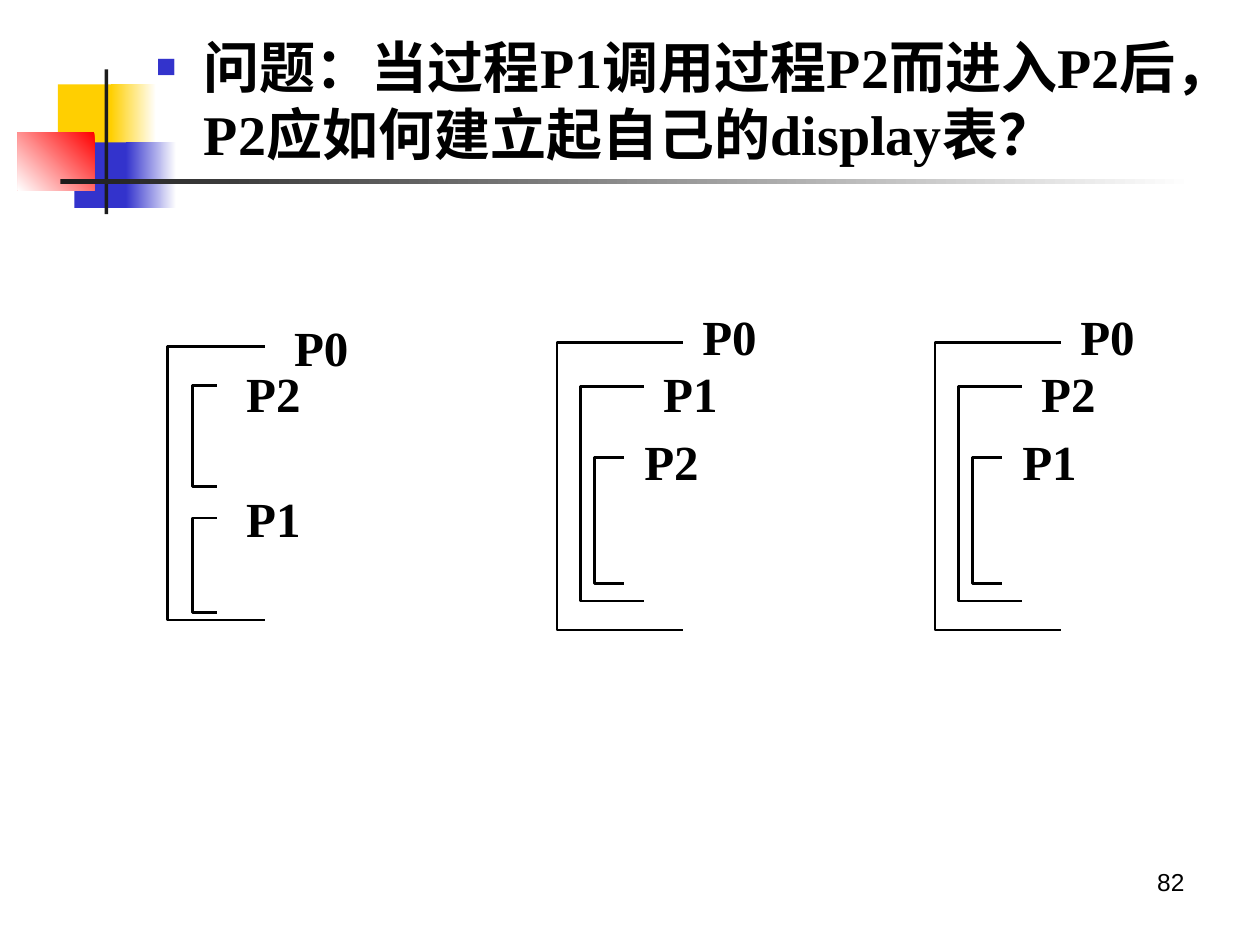
from lxml import etree
from pptx import Presentation, util as u
from pptx.dml.color import RGBColor
from pptx.enum import shapes, text
from pptx.oxml.ns import qn

COLORS = {"yellow": "FFCF01", "blue": "3333CC", "red": "FF0000",
          "dark": "1C1C1C", "white": "FFFFFF", "black": "000000"}


def rgb(name):
    return RGBColor.from_string(COLORS[name])


def add_text(container, box, words, size, font, align, bold=True):
    shape = container.add_textbox(*map(u.Inches, box))
    paragraph = shape.text_frame.paragraphs[0]
    paragraph.text = words
    paragraph.alignment = align
    run_font = paragraph.runs[0].font
    run_font.size, run_font.name, run_font.bold = u.Pt(size), font, bold
    run_font.color.rgb = rgb("black")
    return shape


presentation = Presentation()
presentation.slide_width, presentation.slide_height = u.Inches(10), u.Inches(7.5)
slide = presentation.slides.add_slide(presentation.slide_layouts[6])

# Corner ornament: box, first colour, end colour (None for solid), gradient angle
ornament = [
    ((0.46, 0.67, 0.48, 0.52), "yellow", None, 0),
    ((0.88, 0.67, 0.36, 0.52), "yellow", "white", 0),
    ((0.59, 1.13, 0.46, 0.52), "blue", None, 0),
    ((1.00, 1.13, 0.40, 0.52), "blue", "white", 0),
    ((0.14, 1.05, 0.61, 0.46), "red", "white", 225),
    ((0.83, 0.55, 0.03, 1.15), "dark", None, 0),
    ((0.48, 1.42, 9.00, 0.04), "dark", "white", 0),
]
for box, start, end, angle in ornament:
    shape = slide.shapes.add_shape(shapes.MSO_SHAPE.RECTANGLE, *map(u.Inches, box))
    shape.shadow.inherit = False
    shape.line.fill.background()
    if end is None:
        shape.fill.solid()
        shape.fill.fore_color.rgb = rgb(start)
    else:
        shape.fill.gradient()
        shape.fill.gradient_angle = angle
        for stop, name in zip(shape.fill.gradient_stops, (start, end)):
            stop.color.rgb = rgb(name)

# Slide number and question
add_text(slide.shapes, (7.17, 6.83, 2.33, 0.52), "82", 14, "Arial",
         text.PP_ALIGN.RIGHT, bold=False)
question = add_text(
    slide.shapes, (1.14, 0.21, 8.67, 1.25),
    "问题：当过程P1调用过程P2而进入P2后，P2应如何建立起自己的display表？",
    32, "Times New Roman", text.PP_ALIGN.LEFT)
question.text_frame.word_wrap = True
paragraph = question.text_frame.paragraphs[0]
paragraph.space_before = u.Pt(8)
properties = paragraph._p.get_or_add_pPr()
properties.set("marL", str(u.Inches(0.38)))
properties.set("indent", str(-u.Inches(0.38)))
bullet_color = etree.SubElement(properties, qn("a:buClr"))
etree.SubElement(bullet_color, qn("a:srgbClr"), val=COLORS["blue"])
etree.SubElement(properties, qn("a:buSzPct"), val="60000")
etree.SubElement(properties, qn("a:buFont"), typeface="Arial")
etree.SubElement(properties, qn("a:buChar"), char="■")

# Nesting diagrams: brackets as (left, top, width, height), labels as (left, top),
# with left measured from the outer bracket of each diagram
side_by_side = ([(0, 2.75, 0.77, 2.17), (0.2, 3.06, 0.19, 0.8), (0.2, 4.11, 0.19, 0.75)],
                [(0.77, 2.5), (0.39, 2.87), (0.39, 3.86)])
nested = ([(0, 2.72, 1, 2.28), (0.19, 3.07, 0.5, 1.7), (0.3, 3.63, 0.23, 1)],
          [(0.92, 2.42), (0.61, 2.87), (0.46, 3.41)])
diagrams = [
    (1.33, side_by_side, ("P0", "P2", "P1")),
    (4.42, nested, ("P0", "P1", "P2")),
    (7.42, nested, ("P0", "P2", "P1")),
]
for origin, (brackets, label_spots), names in diagrams:
    group = slide.shapes.add_group_shape()
    for offset, top, width, height in brackets:
        left, right = u.Inches(origin + offset), u.Inches(origin + offset + width)
        upper, lower = u.Inches(top), u.Inches(top + height)
        builder = group.shapes.build_freeform(right, upper)
        builder.add_line_segments([(left, upper), (left, lower), (right, lower)], close=False)
        bracket = builder.convert_to_shape()
        bracket.shadow.inherit = False
        bracket.fill.background()
        bracket.line.color.rgb = rgb("black")
        bracket.line.width = u.Pt(1.5)
    for (offset, top), name in zip(label_spots, names):
        label = add_text(group.shapes, (origin + offset, top, 0.9, 0.5), name, 28,
                         "Times New Roman", text.PP_ALIGN.CENTER)
        label.text_frame.word_wrap = False
        label.text_frame.vertical_anchor = text.MSO_ANCHOR.MIDDLE

presentation.save("out.pptx")
